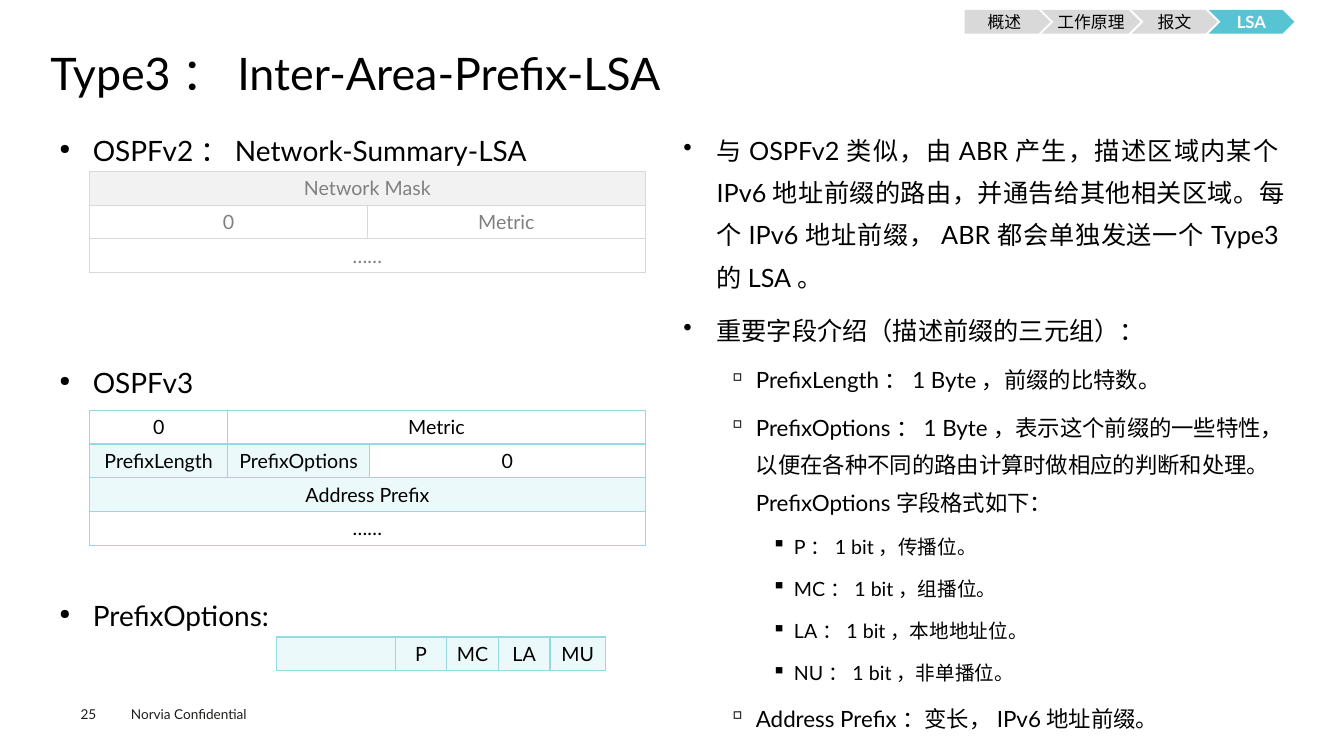
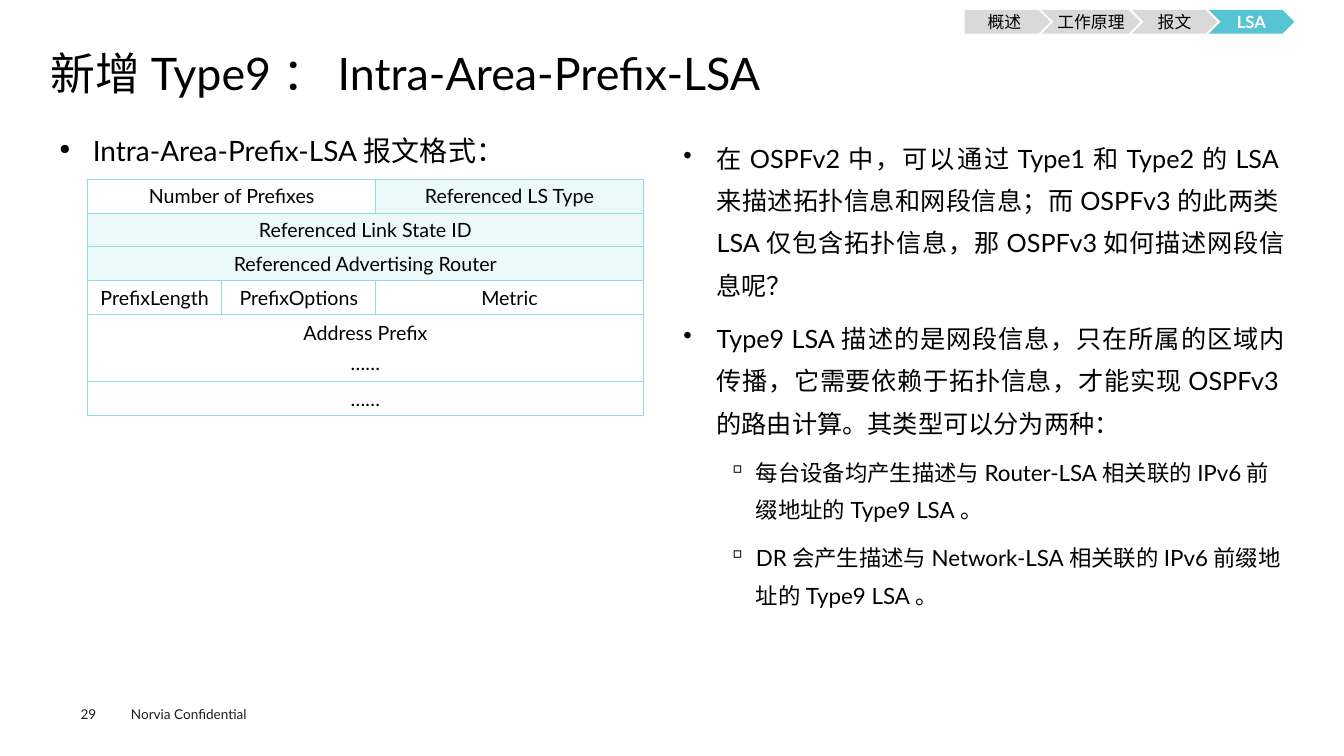
from lxml.etree import SubElement
from pptx import Presentation
from pptx.dml.color import RGBColor
from pptx.enum.shapes import MSO_SHAPE
from pptx.enum.text import MSO_ANCHOR, PP_ALIGN
from pptx.oxml import parse_xml
from pptx.oxml.ns import nsdecls, qn
from pptx.util import Cm, Pt

FONT = "Lato"
COLORS = {
    "text": "000000",
    "white": "FFFFFF",
    "footer": "1D1D1B",
    "accent": "56C4D2",
    "tab": "D9D9D9",
    "line": "94DAE2",
    "shade": "ECF9FA",
    "old_text": "808080",
    "old_line": "D9D9D9",
    "old_shade": "F2F2F2",
}
CHAPTERS = [("概述", 2.16), ("工作原理", 2.49), ("报文", 2.16), ("LSA", 2.16)]
CHAPTER_OVERLAP = 0.22
ROW_HEIGHT = 0.85
# size, space before, left margin, hanging indent, bullet, alignment
LEVELS = [
    (18, 7.9, 0.84, 0.84, "•", PP_ALIGN.JUSTIFY),
    (16, 7.2, 1.83, 0.71, "▫", PP_ALIGN.LEFT),
    (14, 6.5, 2.79, 0.56, "▪", PP_ALIGN.LEFT),
]


def rgb(name):
    return RGBColor.from_string(COLORS[name])


class Deck:
    """Holds the presentation, its style and the slide being filled."""

    def __init__(self):
        self.prs = Presentation()
        self.prs.slide_width, self.prs.slide_height = Cm(33.87), Cm(19.05)
        self.s = None

    def new_slide(self, title, number):
        self.s = self.prs.slides.add_slide(self.prs.slide_layouts[6])
        tf = self.text_box(1.27, 1.24, 31.37, 1.35, margins=(0, 0))
        tf.vertical_anchor = MSO_ANCHOR.MIDDLE
        tf.text = title
        tf.paragraphs[0].line_spacing = 0.9
        self.format_runs(tf.paragraphs[0], 32)
        self.footer("Norvia Confidential", 3.3, 17.78, 4.06)
        self.footer(str(number), 2.03, 17.78, 1.2)
        self.chapter_bar("LSA")

    def format_runs(self, p, size, color="text", bold=False):
        for r in p.runs:
            r.font.name, r.font.size, r.font.bold = FONT, Pt(size), bold
            r.font.color.rgb = rgb(color)
            SubElement(r.font._element, qn("a:ea"), typeface=FONT)

    def text_box(self, left, top, width, height, margins=(0.23, 0.1)):
        tf = self.s.shapes.add_textbox(Cm(left), Cm(top), Cm(width), Cm(height)).text_frame
        tf.word_wrap = True
        tf.margin_left = tf.margin_right = Cm(margins[0])
        tf.margin_top = tf.margin_bottom = Cm(margins[1])
        return tf

    def footer(self, text, left, top, width):
        tf = self.text_box(left, top, width, 0.41, margins=(0, 0))
        tf.text = text
        self.format_runs(tf.paragraphs[0], 9.7, "footer")

    def chapter_bar(self, current):
        left = 24.31
        for i, (name, width) in enumerate(CHAPTERS):
            active = name == current
            kind = MSO_SHAPE.CHEVRON if i else MSO_SHAPE.PENTAGON
            sp = self.s.shapes.add_shape(kind, Cm(left), Cm(0.25), Cm(width), Cm(0.6))
            sp.shadow.inherit = False
            sp.fill.solid()
            sp.fill.fore_color.rgb = rgb("accent" if active else "tab")
            sp.line.fill.background()
            tf = sp.text_frame
            tf.margin_left = tf.margin_right = tf.margin_top = tf.margin_bottom = 0
            tf.vertical_anchor = MSO_ANCHOR.MIDDLE
            tf.text = name
            p = tf.paragraphs[0]
            p.alignment = PP_ALIGN.CENTER
            self.format_runs(p, 12, "white" if active else "text", active)
            left += width - CHAPTER_OVERLAP

    def bullet(self, p, text, level=0, size=None, char=None, char_percent=100):
        level_size, before, margin, hanging, level_char, align = LEVELS[level]
        p.text = text
        p.level, p.alignment, p.line_spacing = level, align, 1.4
        p.space_before = Pt(before)
        pPr = p._p.get_or_add_pPr()
        pPr.set("marL", str(Cm(margin)))
        pPr.set("indent", str(-Cm(hanging)))
        SubElement(pPr, qn("a:buSzPct"), val=str(char_percent * 1000))
        SubElement(pPr, qn("a:buChar"), char=char or level_char)
        self.format_runs(p, size or level_size)

    def heading(self, text, top):
        tf = self.text_box(1.27, top, 15.7, 1.22)
        p = tf.paragraphs[0]
        self.bullet(p, text, size=20, char="●", char_percent=50)
        p.space_before = Pt(0)

    def bullets(self, top, height, items):
        """Fill the right column with (level, text) items."""
        tf = self.text_box(16.99, top, 15.62, height)
        for i, (level, text) in enumerate(items):
            p = tf.add_paragraph() if i else tf.paragraphs[0]
            self.bullet(p, text, level)
        tf.paragraphs[0].space_before = Pt(0)

    def packet(self, left, top, widths, rows, prefix=""):
        """Draw a packet format; each row lists (text, column span, shaded)."""
        heights = [ROW_HEIGHT * max(text.count("\n") + 1 for text, _, _ in row) for row in rows]
        table = self.s.shapes.add_table(
            len(rows), len(widths), Cm(left), Cm(top), Cm(sum(widths)), Cm(sum(heights))
        ).table
        table.first_row = table.horz_banding = False
        for column, width in zip(table.columns, widths):
            column.width = Cm(width)
        for i, row in enumerate(rows):
            table.rows[i].height = Cm(heights[i])
            col = 0
            for text, span, shaded in row:
                cells = [table.cell(i, c) for c in range(col, col + span)]
                if span > 1:
                    cells[0].merge(cells[-1])
                for cell in cells:
                    self.cell_style(cell, prefix + "shade" if shaded else "white", prefix + "line")
                cells[0].text_frame.text = text
                for n, p in enumerate(cells[0].text_frame.paragraphs):
                    p.alignment = PP_ALIGN.CENTER
                    p.space_before = Pt(4.2 if n else 0)
                    self.format_runs(p, 14, prefix + "text")
                col += span

    def cell_style(self, cell, fill, line):
        cell.margin_top = cell.margin_bottom = 0
        cell.vertical_anchor = MSO_ANCHOR.MIDDLE
        cell.fill.solid()
        cell.fill.fore_color.rgb = rgb(fill)
        tcPr = cell._tc.get_or_add_tcPr()
        for i, side in enumerate("LRTB"):
            tcPr.insert(i, parse_xml(
                f'<a:ln{side} {nsdecls("a")} w="{Pt(1)}"><a:solidFill>'
                f'<a:srgbClr val="{COLORS[line]}"/></a:solidFill></a:ln{side}>'
            ))


def inter_area_slide(deck):
    deck.new_slide("Type3：Inter-Area-Prefix-LSA", 25)
    headings = ["OSPFv2：Network-Summary-LSA", "OSPFv3", "PrefixOptions:"]
    for i, text in enumerate(headings):
        deck.heading(text, 2.92 + 5.86 * i)
    deck.packet(2.26, 4.32, [7, 7], [
        [("Network Mask", 2, True)],
        [("0", 1, False), ("Metric", 1, False)],
        [("……", 2, False)],
    ], prefix="old_")
    deck.packet(2.26, 10.34, [3.48, 3.57, 6.95], [
        [("0", 1, False), ("Metric", 2, False)],
        [("PrefixLength", 1, True), ("PrefixOptions", 1, True), ("0", 1, False)],
        [("Address Prefix", 3, True)],
        [("……", 3, False)],
    ])
    deck.packet(6.96, 16.05, [3, 1.3, 1.3, 1.3, 1.4], [
        [(bit, 1, True) for bit in ("", "P", "MC", "LA", "MU")],
    ])
    deck.bullets(3, 14.25, [
        (0, "与OSPFv2类似，由ABR产生，描述区域内某个IPv6地址前缀的路由，并通告给其他相关区域。"
            "每个IPv6地址前缀，ABR都会单独发送一个Type3的LSA。"),
        (0, "重要字段介绍（描述前缀的三元组）："),
        (1, "PrefixLength：1 Byte，前缀的比特数。"),
        (1, "PrefixOptions：1 Byte，表示这个前缀的一些特性，以便在各种不同的路由计算时做相应的判断和处理。"
            "PrefixOptions字段格式如下："),
        (2, "P：1 bit，传播位。"),
        (2, "MC：1 bit，组播位。"),
        (2, "LA：1 bit，本地地址位。"),
        (2, "NU：1 bit，非单播位。"),
        (1, "Address Prefix：变长，IPv6地址前缀。"),
    ])


def intra_area_slide(deck):
    deck.new_slide("新增Type9：Intra-Area-Prefix-LSA", 29)
    deck.heading("Intra-Area-Prefix-LSA报文格式：", 2.92)
    deck.packet(2.21, 4.52, [3.38, 3.88, 6.74], [
        [("Number of Prefixes", 2, False), ("Referenced LS Type", 1, True)],
        [("Referenced Link State ID", 3, True)],
        [("Referenced Advertising Router", 3, True)],
        [("PrefixLength", 1, False), ("PrefixOptions", 1, False), ("Metric", 1, False)],
        [("Address Prefix\n……", 3, False)],
        [("……", 3, False)],
    ])
    deck.bullets(3.2, 11.28, [
        (0, "在OSPFv2中，可以通过Type1和Type2的LSA来描述拓扑信息和网段信息；"
            "而OSPFv3的此两类LSA仅包含拓扑信息，那OSPFv3如何描述网段信息呢？"),
        (0, "Type9 LSA描述的是网段信息，只在所属的区域内传播，它需要依赖于拓扑信息，"
            "才能实现OSPFv3的路由计算。其类型可以分为两种："),
        (1, "每台设备均产生描述与Router-LSA相关联的IPv6前缀地址的Type9 LSA。"),
        (1, "DR会产生描述与Network-LSA相关联的IPv6前缀地址的Type9 LSA。"),
    ])


def main():
    deck = Deck()
    inter_area_slide(deck)
    intra_area_slide(deck)
    deck.prs.save("out.pptx")


if __name__ == "__main__":
    main()
